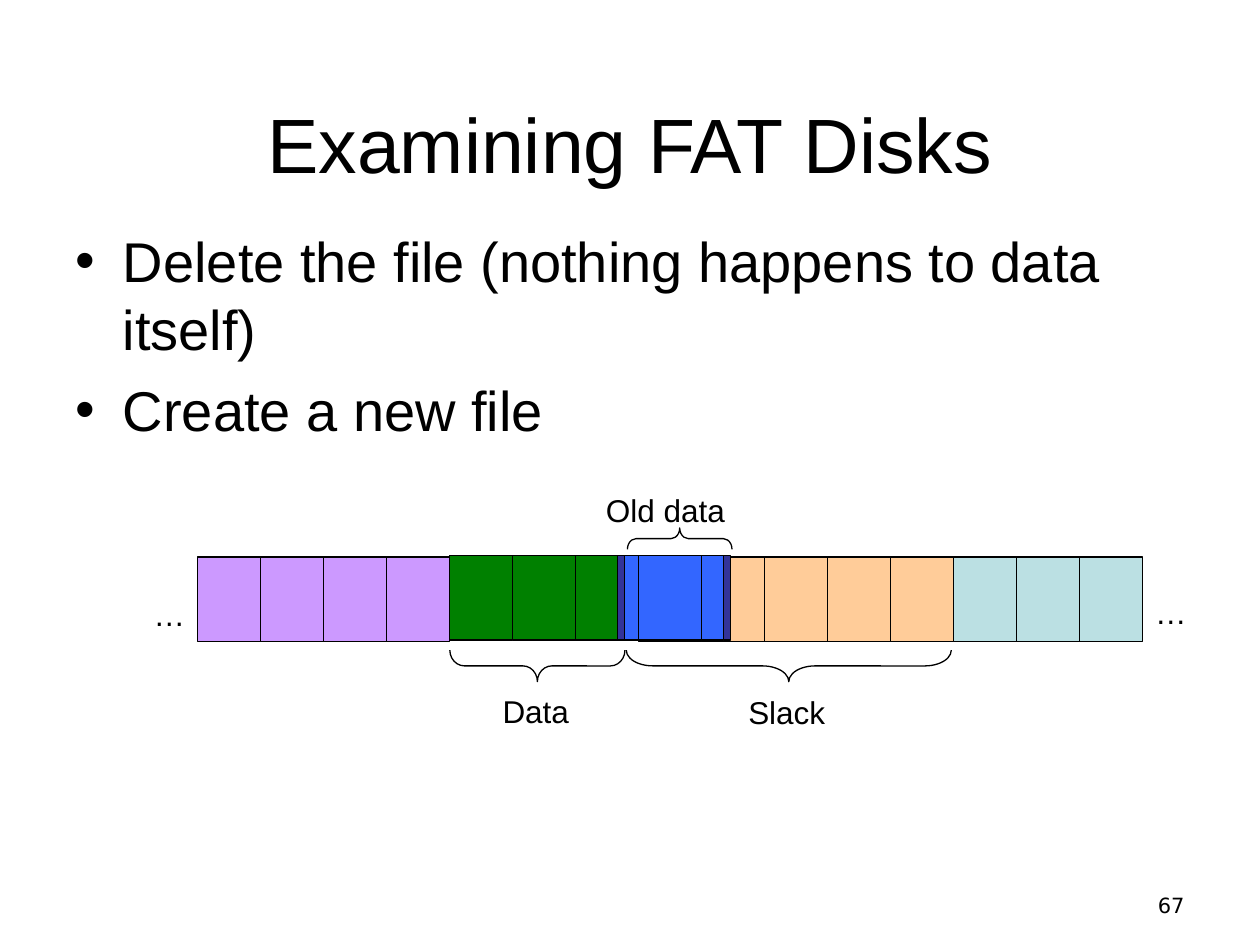
from dataclasses import dataclass

from pptx import Presentation
from pptx.dml.color import RGBColor
from pptx.enum.shapes import MSO_SHAPE
from pptx.enum.text import MSO_ANCHOR, MSO_AUTO_SIZE, PP_ALIGN
from pptx.slide import Slide
from pptx.text.text import TextFrame
from pptx.util import Inches, Pt

RECT = MSO_SHAPE.RECTANGLE
BRACE = MSO_SHAPE.RIGHT_BRACE
LEFT, CENTER, RIGHT = PP_ALIGN.LEFT, PP_ALIGN.CENTER, PP_ALIGN.RIGHT
TOP, BOTTOM = MSO_ANCHOR.TOP, MSO_ANCHOR.BOTTOM
FIXED, GROW = MSO_AUTO_SIZE.NONE, MSO_AUTO_SIZE.SHAPE_TO_FIT_TEXT

BLACK = RGBColor(0x00, 0x00, 0x00)
PURPLE = RGBColor(0xCC, 0x99, 0xFF)
GREEN = RGBColor(0x00, 0x80, 0x00)
NAVY = RGBColor(0x33, 0x33, 0x99)
BLUE = RGBColor(0x33, 0x66, 0xFF)
PEACH = RGBColor(0xFF, 0xCC, 0x99)
TEAL = RGBColor(0xBB, 0xE0, 0xE3)

START = 1.57
CELL = 0.5
HIGH = 0.67
BASE = 4.42
FRONT = 4.41


@dataclass
class Run:
    first: int
    count: int
    color: RGBColor
    top: float


@dataclass
class Block:
    left: float
    width: float
    color: RGBColor


@dataclass
class Brace:
    left: float
    top: float
    span: float
    depth: float
    turn: int
    bend: float


@dataclass
class Label:
    text: str
    left: float
    top: float
    width: float


RUNS = [
    Run(0, 4, PURPLE, BASE),
    Run(12, 3, TEAL, BASE),
    Run(6, 1, BLUE, FRONT),
    Run(7, 5, PEACH, BASE),
    Run(4, 2, GREEN, FRONT),
    Run(7, 1, BLUE, FRONT),
]
BLOCKS = [
    Block(4.57, 0.33, GREEN),
    Block(4.9, 0.06, NAVY),
    Block(5.57, 0.17, BLUE),
    Block(5.74, 0.06, NAVY),
]
BRACES = [
    Brace(3.57, 5.16, 1.39, 0.25, 90, 0.46),
    Brace(4.97, 5.16, 2.58, 0.25, 90, 0.84),
    Brace(4.98, 4.19, 0.83, 0.17, 270, 0.4),
]
LABELS = [
    Label("…", 1.12, 4.67, 0.45),
    Label("…", 9.07, 4.66, 0.45),
    Label("Data", 3.89, 5.44, 0.73),
    Label("Slack", 5.84, 5.45, 0.81),
    Label("Old data", 4.71, 3.85, 1.18),
]
POINTS = ["Delete the file (nothing happens to data itself)", "Create a new file"]


def write(frame: TextFrame, lines: list[str], size: int, align: PP_ALIGN,
          anchor: MSO_ANCHOR = TOP, face: str = "Arial") -> None:
    frame.text = "\n".join(lines)
    frame.vertical_anchor = anchor
    for i, para in enumerate(frame.paragraphs):
        para.alignment = align
        para.space_before = Pt(8 if i else 0)
        para.font.size = Pt(size)
        para.font.name = face
        para.font.color.rgb = BLACK


def fill_holder(shape, box: tuple[float, ...], lines: list[str], size: int,
                align: PP_ALIGN, anchor: MSO_ANCHOR) -> None:
    shape.left, shape.top, shape.width, shape.height = map(Inches, box)
    shape.text_frame.auto_size = FIXED
    write(shape.text_frame, lines, size, align, anchor)


def draw_block(slide: Slide, block: Block, top: float) -> None:
    shape = slide.shapes.add_shape(RECT, Inches(block.left), Inches(top),
                                   Inches(block.width), Inches(HIGH))
    shape.shadow.inherit = False
    shape.fill.solid()
    shape.fill.fore_color.rgb = block.color
    shape.line.color.rgb = BLACK
    shape.line.width = Pt(0.75)


def draw_brace(slide: Slide, brace: Brace) -> None:
    shift = (brace.span - brace.depth) / 2
    shape = slide.shapes.add_shape(
        BRACE, Inches(brace.left + shift), Inches(brace.top - shift),
        Inches(brace.depth), Inches(brace.span))
    shape.rotation = brace.turn
    shape.adjustments[0] = brace.bend
    shape.shadow.inherit = False
    shape.fill.background()
    shape.line.color.rgb = BLACK
    shape.line.width = Pt(0.75)


def draw_label(slide: Slide, label: Label) -> None:
    box = slide.shapes.add_textbox(Inches(label.left), Inches(label.top),
                                   Inches(label.width), Inches(0.4))
    box.text_frame.word_wrap = False
    box.text_frame.auto_size = GROW
    write(box.text_frame, [label.text], 18, LEFT)


def main() -> None:
    deck = Presentation()
    deck.slide_width, deck.slide_height = Inches(10), Inches(7.5)
    slide = deck.slides.add_slide(deck.slide_layouts[1])
    fill_holder(slide.shapes.title, (0.5, 0.3, 9, 1.25),
                ["Examining FAT Disks"], 44, CENTER, BOTTOM)
    fill_holder(slide.placeholders[1], (0.5, 1.75, 9, 4.95),
                POINTS, 32, LEFT, TOP)

    for run in RUNS:
        for i in range(run.first, run.first + run.count):
            draw_block(slide, Block(START + i * CELL, CELL, run.color), run.top)
    for block in BLOCKS:
        draw_block(slide, block, FRONT)
    for brace in BRACES:
        draw_brace(slide, brace)
    for label in LABELS:
        draw_label(slide, label)

    page = slide.shapes.add_textbox(Inches(7.17), Inches(6.83),
                                    Inches(2.33), Inches(0.5))
    page.text_frame.word_wrap = True
    write(page.text_frame, ["67"], 12, RIGHT, BOTTOM, "DejaVu Sans")
    deck.save("out.pptx")


if __name__ == "__main__":
    main()
